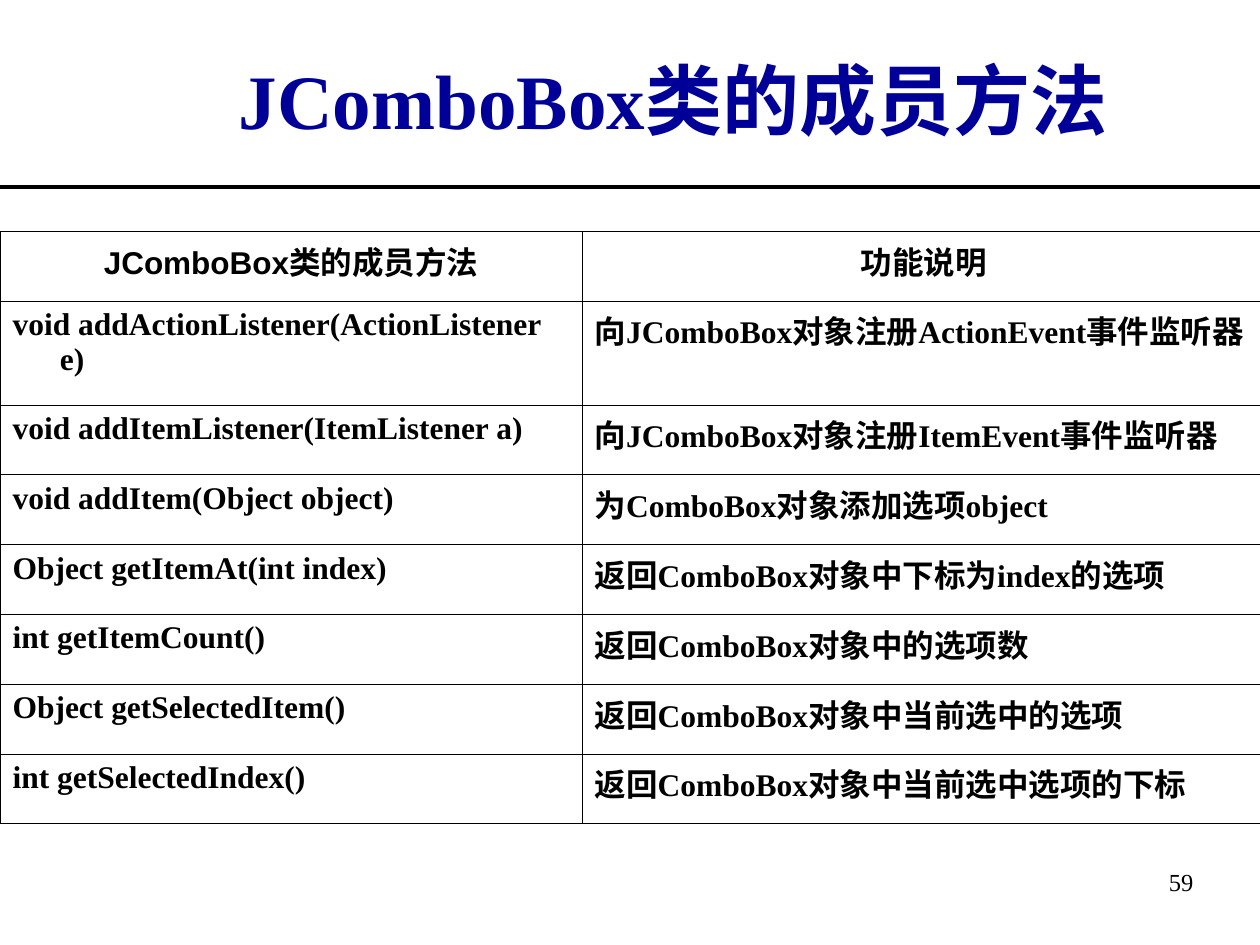
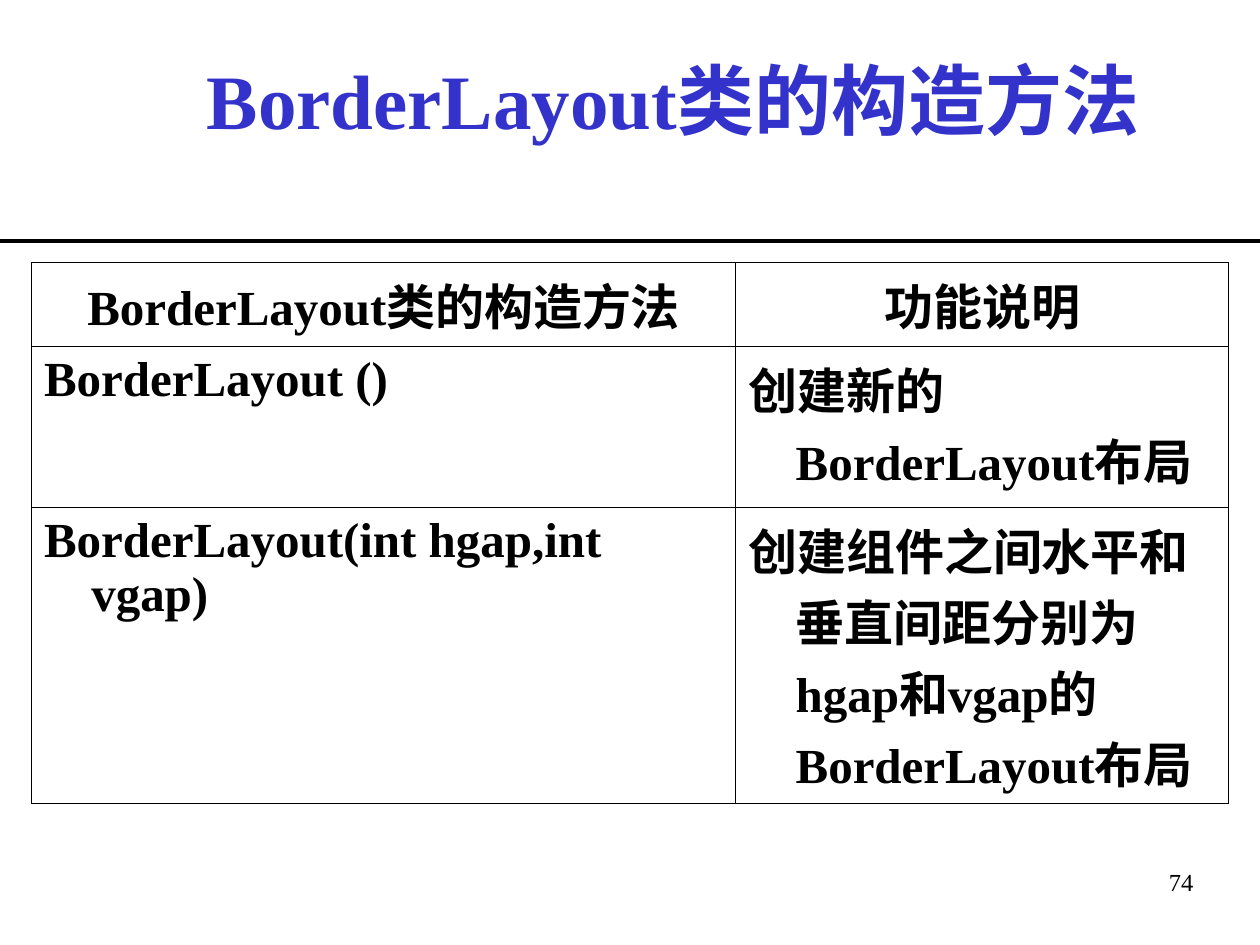
import lxml.etree
import pptx
import pptx.dml.color
import pptx.enum.shapes
import pptx.enum.text
import pptx.oxml.ns
import pptx.util

RGBColor = pptx.dml.color.RGBColor
ALIGN = pptx.enum.text.PP_ALIGN
ANCHOR = pptx.enum.text.MSO_ANCHOR

BLACK = RGBColor(0x00, 0x00, 0x00)
NAVY = RGBColor(0x00, 0x00, 0x99)
BLUE = RGBColor(0x33, 0x33, 0xCC)
SERIF = "Times New Roman"
SANS = "Arial"
COLS, ROWS = 100, 75
HANG = 3.75
EDGE = 0.45


def grid(count):
    """Length of a number of grid steps; the slide is COLS by ROWS steps."""
    return pptx.util.Inches(count / 10)


def node(parent, tag, **attrs):
    return lxml.etree.SubElement(parent, pptx.oxml.ns.qn(tag), **attrs)


def write(frame, text, size=18, face=SERIF, color=BLACK, bold=True,
          align=ALIGN.LEFT, hang=0):
    """Fill a frame with one paragraph; text is a string or (text, face) pairs."""
    para = frame.paragraphs[0]
    para.alignment = align
    if hang:
        props = para._p.get_or_add_pPr()
        props.set("marL", str(grid(hang)))
        props.set("indent", str(-grid(hang)))
    for part, name in [(text, face)] if isinstance(text, str) else text:
        run = para.add_run()
        run.text = part
        run.font.name = name
        run.font.size = pptx.util.Pt(size)
        run.font.bold = bold
        run.font.color.rgb = color


def label(slide, text, left, top, width, height, anchor=ANCHOR.TOP, **style):
    box = slide.shapes.add_textbox(*map(grid, (left, top, width, height)))
    box.text_frame.word_wrap = True
    box.text_frame.vertical_anchor = anchor
    write(box.text_frame, text, **style)


def rule(slide, top):
    line = slide.shapes.add_connector(
        pptx.enum.shapes.MSO_CONNECTOR.STRAIGHT,
        0, grid(top), grid(COLS), grid(top))
    line.line.color.rgb = BLACK
    line.line.width = pptx.util.Pt(2.25)
    node(line._element.spPr, "a:effectLst")


def frame_cell(cell):
    """Draw thin black borders round a cell and leave it unfilled."""
    props = cell._tc.get_or_add_tcPr()
    for side in ("a:lnL", "a:lnR", "a:lnT", "a:lnB"):
        line = node(props, side, w=str(pptx.util.Pt(EDGE)))
        node(node(line, "a:solidFill"), "a:srgbClr", val=str(BLACK))
    cell.fill.background()


def table(slide, data, left, top, widths, heights, size, head):
    """Add a grid of methods; head is the face of the first row."""
    shape = slide.shapes.add_table(
        len(heights), len(widths), grid(left), grid(top),
        grid(sum(widths)), grid(sum(heights)))
    body = shape.table
    body.first_row = body.horz_banding = False
    for col, width in zip(body.columns, widths):
        col.width = grid(width)
    for row, height, texts in zip(body.rows, heights, data):
        row.height = grid(height)
        first = texts is data[0]
        for cell, text in zip(row.cells, texts):
            frame_cell(cell)
            write(cell.text_frame, text, size=size, hang=HANG,
                  face=head if first else SERIF,
                  align=ALIGN.CENTER if first else ALIGN.LEFT)


def page(deck, title, color, line, number):
    """Add a slide with its title, rule and page number."""
    slide = deck.slides.add_slide(deck.slide_layouts[6])
    label(slide, title, 11.65, 1.62, 85, 12.5, anchor=ANCHOR.MIDDLE,
          size=44, color=color, align=ALIGN.CENTER)
    rule(slide, line)
    label(slide, number, 89.9, 68.3, 5.8, 6.7,
          size=14, bold=False, align=ALIGN.RIGHT)
    return slide


COMBO = [
    ("JComboBox类的成员方法", "功能说明"),
    ("void addActionListener(ActionListener e)",
     "向JComboBox对象注册ActionEvent事件监听器"),
    ("void addItemListener(ItemListener a)",
     "向JComboBox对象注册ItemEvent事件监听器"),
    ("void addItem(Object object)", "为ComboBox对象添加选项object"),
    ("Object getItemAt(int index)", "返回ComboBox对象中下标为index的选项"),
    ("int getItemCount()", "返回ComboBox对象中的选项数"),
    ("Object getSelectedItem()", "返回ComboBox对象中当前选中的选项"),
    ("int getSelectedIndex()", "返回ComboBox对象中当前选中选项的下标"),
]

BORDER = [
    ([("BorderLayout", SERIF), ("类的构造方法", SANS)], "功能说明"),
    ("BorderLayout ()", "创建新的BorderLayout布局"),
    ("BorderLayout(int hgap,int vgap)",
     "创建组件之间水平和垂直间距分别为hgap和vgap的BorderLayout布局"),
]


def main():
    deck = pptx.Presentation()
    deck.slide_width, deck.slide_height = grid(COLS), grid(ROWS)

    combo = page(deck, "JComboBox类的成员方法 ", NAVY, 14.82, "59")
    table(combo, COMBO, 0, 18.36, (46.2, 54.2), [5.54, 8.25] + [5.54] * 6,
          size=18, head=SANS)

    border = page(deck, "BorderLayout类的构造方法 ", BLUE, 19.15, "74")
    table(border, BORDER, 2.5, 20.8, (55.9, 39.1), (6.7, 12.8, 23.5),
          size=28, head=SANS)

    deck.save("out.pptx")


if __name__ == "__main__":
    main()
